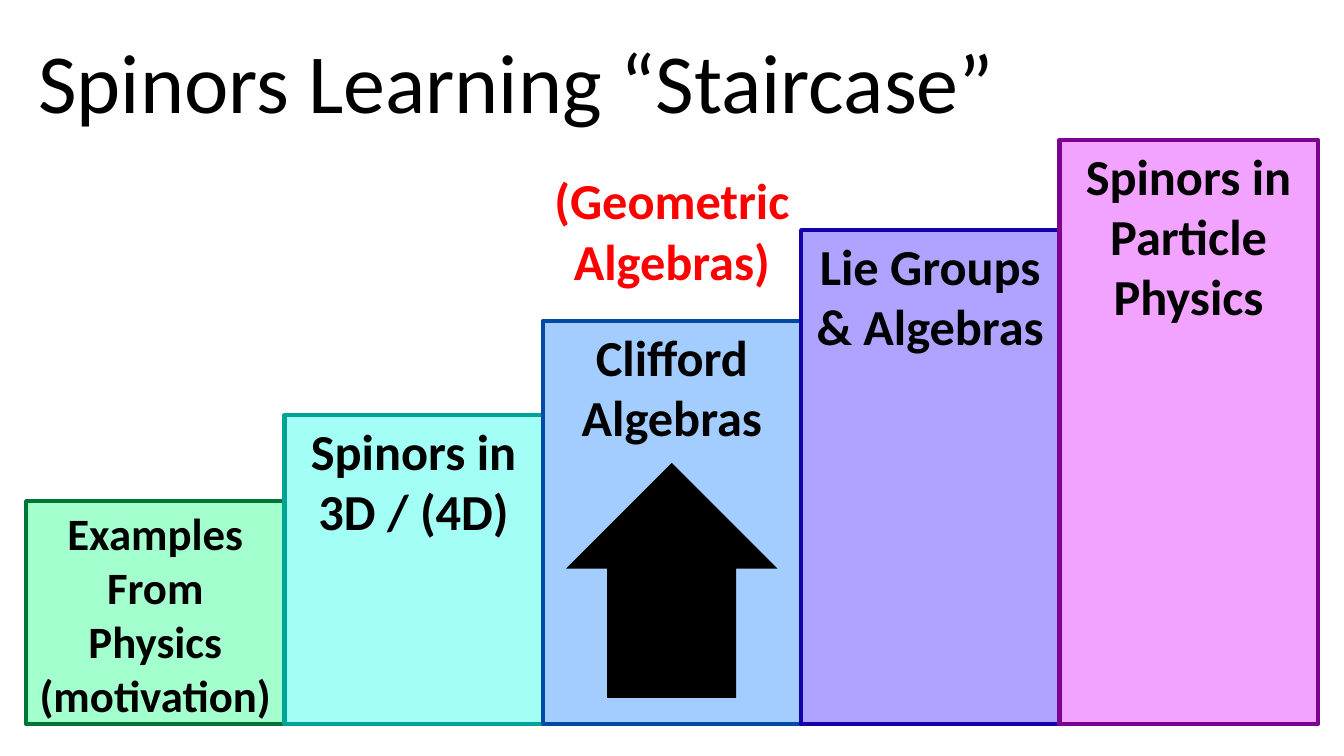
from pptx import Presentation
from pptx.dml.color import RGBColor
from pptx.enum.shapes import MSO_SHAPE as Shape
from pptx.enum.text import MSO_ANCHOR as Anchor, MSO_AUTO_SIZE as AutoSize, PP_ALIGN as Align
from pptx.util import Cm, Pt

STEP_LEFT, STEP_WIDTH, FLOOR = 0.66, 6.51, 18.25
STEPS = [  # text, size, height, fill, line
    ("Examples From Physics (motivation)", 32, 5.62, "A3FFCD", "007635"),
    ("Spinors in 3D / (4D)", 36, 7.79, "A3FFF6", "00A494"),
    ("Clifford Algebras", 36, 10.16, "A3CDFF", "004AA4"),
    ("Lie Groups & Algebras", 36, 12.45, "AEA3FF", "1400A8"),
    ("Spinors in Particle Physics", 36, 14.73, "F2A3FF", "7D0092"),
]


def color(value):
    return RGBColor.from_string(value)


class StaircaseSlide:
    """Holds the slide and its text style, and adds each kind of element."""

    font = "Calibri"
    ink = "000000"

    def __init__(self, presentation):
        self.slide = presentation.slides.add_slide(presentation.slide_layouts[5])

    def add_text(self, shape, text, size, ink=None, bold=True, align=Align.CENTER):
        frame = shape.text_frame
        frame.word_wrap = True
        frame.auto_size = AutoSize.NONE
        frame.vertical_anchor = Anchor.TOP
        paragraph = frame.paragraphs[0]
        paragraph.alignment = align
        run = paragraph.add_run()
        run.text = text
        run.font.name = self.font
        run.font.size = Pt(size)
        run.font.bold = bold
        run.font.color.rgb = color(ink or self.ink)

    def title(self, text, left, top, width, height):
        shape = self.slide.shapes.title
        shape.left, shape.top = Cm(left), Cm(top)
        shape.width, shape.height = Cm(width), Cm(height)
        self.add_text(shape, text, 60, bold=False, align=Align.LEFT)

    def filled(self, preset, left, top, width, height, fill):
        shape = self.slide.shapes.add_shape(preset, Cm(left), Cm(top), Cm(width), Cm(height))
        shape.shadow.inherit = False
        shape.fill.solid()
        shape.fill.fore_color.rgb = color(fill)
        shape.line.fill.background()
        return shape

    def step(self, index, text, size, height, fill, line):
        left = STEP_LEFT + index * STEP_WIDTH
        shape = self.filled(Shape.RECTANGLE, left, FLOOR - height, STEP_WIDTH, height, fill)
        shape.line.color.rgb = color(line)
        shape.line.width = Pt(3)
        self.add_text(shape, text, size)

    def up_arrow(self, left, top, width, height):
        arrow = self.filled(Shape.RIGHT_ARROW, left, top, width, height, self.ink)
        arrow.rotation = 270
        arrow.adjustments[0] = 0.61
        arrow.adjustments[1] = 0.5

    def label(self, text, left, top, width, height, ink):
        box = self.slide.shapes.add_textbox(Cm(left), Cm(top), Cm(width), Cm(height))
        self.add_text(box, text, 36, ink)


def main():
    presentation = Presentation()
    presentation.slide_width, presentation.slide_height = Cm(33.87), Cm(19.05)
    staircase = StaircaseSlide(presentation)
    staircase.title("Spinors Learning “Staircase”", 0.71, 0.61, 25.1, 2.82)
    for index, step in enumerate(STEPS):
        staircase.step(index, *step)
    staircase.up_arrow(13.97, 11.96, 5.92, 5.33)
    staircase.label("(Geometric Algebras)", STEP_LEFT + 2 * STEP_WIDTH, 4.14,
                    STEP_WIDTH, 3.33, "FF0000")
    presentation.save("out.pptx")


if __name__ == "__main__":
    main()
